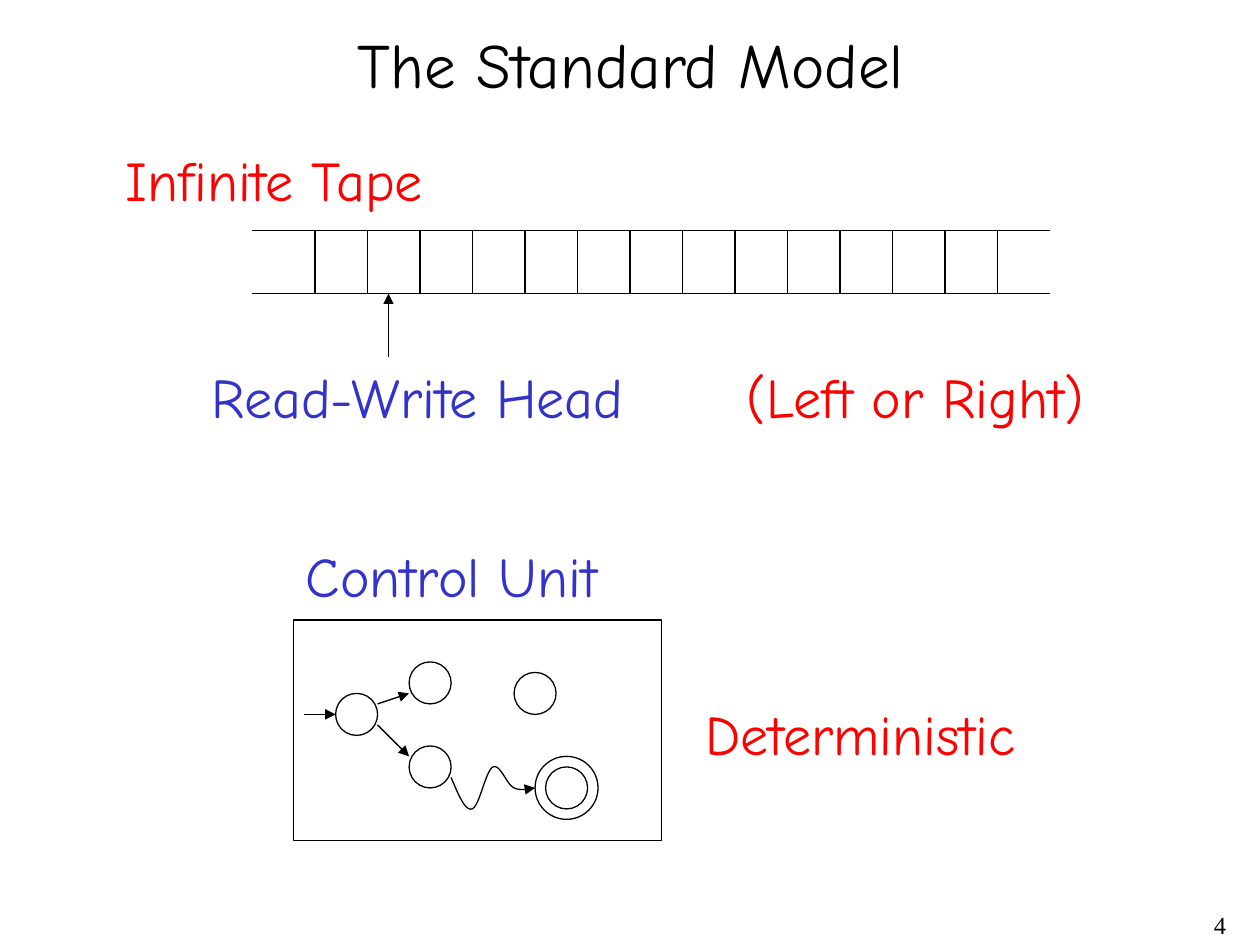
from dataclasses import dataclass

from lxml import etree
from pptx import Presentation
from pptx import util as u
from pptx.dml.color import RGBColor
from pptx.enum import shapes, text
from pptx.oxml import ns


@dataclass(frozen=True)
class Theme:
    """Colours, fonts and sizes of the slide."""
    black: RGBColor = RGBColor(0x00, 0x00, 0x00)
    blue: RGBColor = RGBColor(0x33, 0x33, 0xCC)
    red: RGBColor = RGBColor(0xFF, 0x00, 0x00)
    body_font: str = "Comic Neue"
    number_font: str = "Times New Roman"
    title_size: u.Pt = u.Pt(36)
    label_size: u.Pt = u.Pt(32)
    number_size: u.Pt = u.Pt(14)
    line_width: u.Pt = u.Pt(0.75)


THEME = Theme()
UNIT = u.Inches(1) // 12


def place(shape, box):
    """Move a shape to a box of left, top, width and height in inches."""
    shape.left, shape.top, shape.width, shape.height = map(u.Inches, box)


def grid_point(box, x, y):
    """Turn twelfths of an inch within a box into slide lengths."""
    return u.Inches(box[0]) + round(x * UNIT), u.Inches(box[1]) + round(y * UNIT)


def add_run(paragraph, words, size, color, font):
    """Add one formatted run."""
    run = paragraph.add_run()
    run.text = words
    run.font.size, run.font.name = size, font
    run.font.color.rgb = color


def style_line(line, arrow=False):
    """Give a line its colour and width, and an arrowhead at its end if asked."""
    line.color.rgb = THEME.black
    line.width = THEME.line_width
    if arrow:
        properties = line._get_or_add_ln()
        etree.SubElement(properties, ns.qn("a:tailEnd"), type="triangle", w="med", len="med")


def style_outline(shape, arrow=False):
    """Leave only the outline of a shape."""
    shape.shadow.inherit = False
    shape.fill.background()
    style_line(shape.line, arrow)


def add_line(slide, box, start, end, arrow=False):
    """Draw a straight line between two grid points of a box."""
    connector = slide.shapes.add_connector(
        shapes.MSO_CONNECTOR.STRAIGHT, *grid_point(box, *start), *grid_point(box, *end))
    style_line(connector.line, arrow)
    etree.SubElement(connector._element.spPr, ns.qn("a:effectLst"))


def add_circle(slide, box, x, y, size=4):
    """Draw a state circle at a grid point of a box."""
    circle = slide.shapes.add_shape(
        shapes.MSO_SHAPE.OVAL, *grid_point(box, x, y), size * UNIT, size * UNIT)
    style_outline(circle)


def add_curve(slide, box, start, segments, steps=16):
    """Draw a smooth arrow through cubic segments given in grid units."""
    points = []
    origin = start
    for first, second, end in segments:
        for step in range(1, steps + 1):
            t = step / steps
            weights = ((1 - t) ** 3, 3 * t * (1 - t) ** 2, 3 * t * t * (1 - t), t ** 3)
            corners = (origin, first, second, end)
            points.append(grid_point(box, *(
                sum(weight * corner[axis] for weight, corner in zip(weights, corners))
                for axis in (0, 1))))
        origin = end
    builder = slide.shapes.build_freeform(*grid_point(box, *start))
    builder.add_line_segments(points, close=False)
    style_outline(builder.convert_to_shape(), arrow=True)


def add_title(slide, box, words):
    """Place the slide title."""
    title = slide.shapes.title
    place(title, box)
    frame = title.text_frame
    frame.vertical_anchor = text.MSO_ANCHOR.MIDDLE
    paragraph = frame.paragraphs[0]
    paragraph.alignment = text.PP_ALIGN.CENTER
    add_run(paragraph, words, THEME.title_size, THEME.black, THEME.body_font)


def add_label(slide, box, words, color):
    """Place a one-line label."""
    frame = slide.shapes.add_textbox(*map(u.Inches, box)).text_frame
    frame.word_wrap = False
    frame.auto_size = text.MSO_AUTO_SIZE.SHAPE_TO_FIT_TEXT
    add_run(frame.paragraphs[0], words, THEME.label_size, color, THEME.body_font)


def add_page_number(slide, box, number):
    """Place the page number."""
    frame = slide.shapes.add_textbox(*map(u.Inches, box)).text_frame
    frame.word_wrap = True
    paragraph = frame.paragraphs[0]
    paragraph.alignment = text.PP_ALIGN.RIGHT
    add_run(paragraph, number, THEME.number_size, THEME.black, THEME.number_font)


def add_tape(slide, box):
    """Draw the tape with its cells and the read-write head arrow."""
    for y in (0, 6):
        add_line(slide, box, (0, y), (76, y))
    for cell in range(14):
        x = 6 + 5 * cell
        add_line(slide, box, (x, 0), (x, 6))
    add_line(slide, box, (13, 12), (13, 6), arrow=True)


def add_control_unit(slide, box):
    """Draw the control unit with its states and transitions."""
    frame = slide.shapes.add_shape(shapes.MSO_SHAPE.RECTANGLE, *map(u.Inches, box))
    style_outline(frame)
    for x, y in ((4, 7), (11, 4), (24, 14), (11, 12), (21, 5)):
        add_circle(slide, box, x, y)
    add_circle(slide, box, 23, 13, size=6)
    for start, end in (((1, 9), (4, 9)), ((8, 8), (11, 7)), ((8, 10), (11, 13))):
        add_line(slide, box, start, end, arrow=True)
    add_curve(slide, box, (15, 15), (
        ((15.7, 16.6), (16.3, 18.2), (17, 18)),
        ((17.7, 17.8), (18.3, 14.3), (19, 14)),
        ((19.7, 13.7), (20.3, 15.7), (21, 16)),
        ((21.7, 16.3), (22.3, 16.1), (23, 16)),
    ))


def main():
    """Build and save the slide."""
    presentation = Presentation()
    presentation.slide_width, presentation.slide_height = u.Inches(10), u.Inches(7.5)
    slide = presentation.slides.add_slide(presentation.slide_layouts[5])
    add_title(slide, (0.17, 0.17, 9.67, 0.67), "The Standard Model")
    add_control_unit(slide, (2.33, 4.92, 2.92, 1.75))
    add_tape(slide, (2, 1.83, 6.33, 0.5))
    for box, words, color in (
        ((0.9, 1.11, 2.98, 0.63), "Infinite Tape", THEME.red),
        ((1.58, 2.83, 3.86, 0.63), "Read-Write Head", THEME.blue),
        ((5.83, 2.83, 3.27, 0.63), "(Left or Right)", THEME.red),
        ((2.33, 4.25, 2.74, 0.63), "Control Unit", THEME.blue),
        ((5.5, 5.5, 3.04, 0.63), "Deterministic", THEME.red),
    ):
        add_label(slide, box, words, color)
    add_page_number(slide, (7.75, 7.17, 2.08, 0.33), "4")
    presentation.save("out.pptx")


if __name__ == "__main__":
    main()
